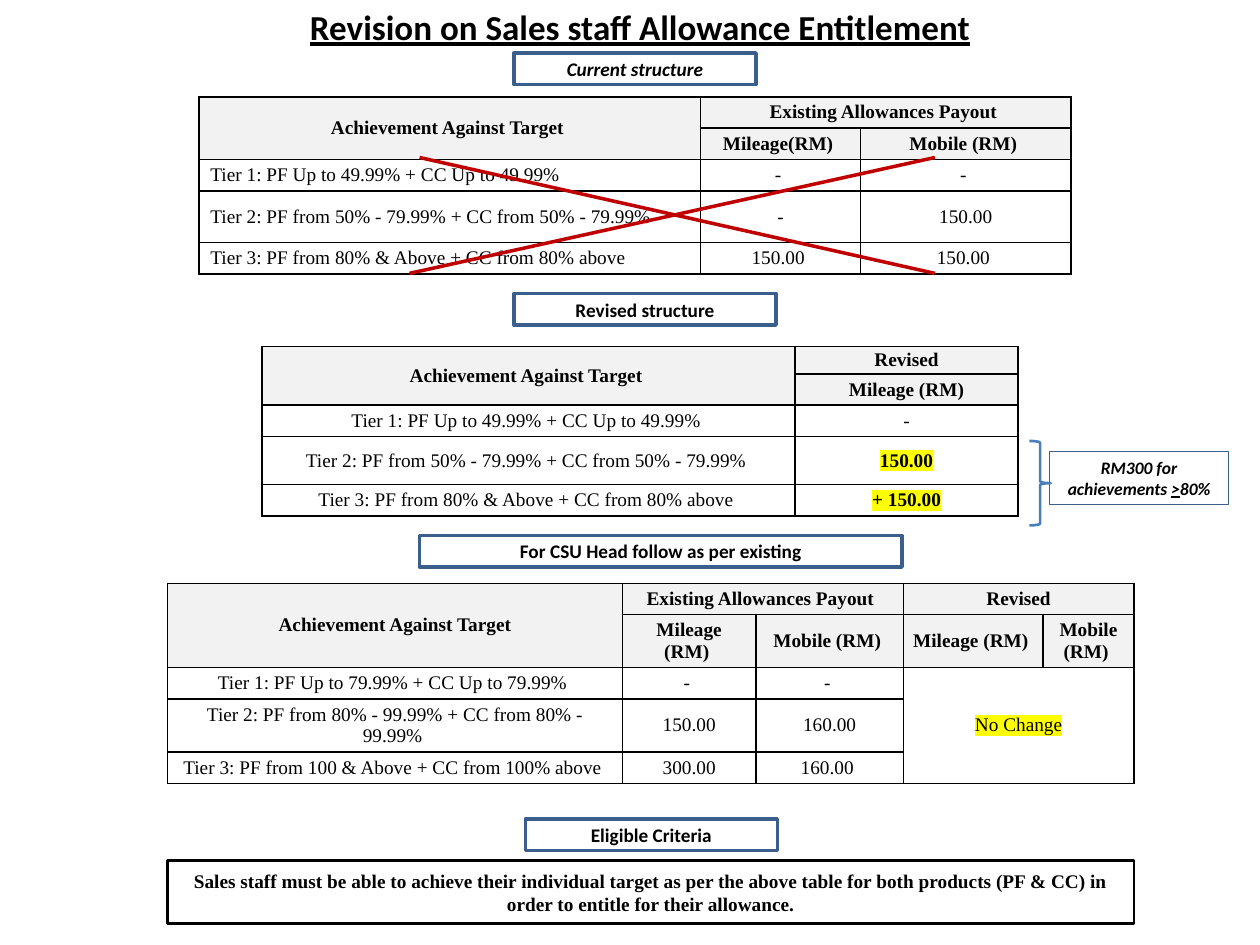
from dataclasses import dataclass, field
from typing import NamedTuple

from lxml.etree import SubElement
from pptx import Presentation
from pptx.dml.color import RGBColor
from pptx.enum.shapes import MSO_CONNECTOR, MSO_SHAPE
from pptx.enum.text import MSO_ANCHOR, PP_ALIGN
from pptx.oxml import parse_xml
from pptx.oxml.ns import nsdecls, qn
from pptx.util import Inches, Pt

COLORS = {
    "black": "000000",
    "white": "FFFFFF",
    "header": "F2F2F2",
    "label": "3A5F8C",
    "brace": "4B7EBC",
    "cross": "C00000",
    "highlight": "FFFF00",
}
SANS, SERIF = "Calibri", "Times New Roman"
HEADER_ROWS = 2


class Run(NamedTuple):
    text: str
    font: str = SERIF
    size: float = 11
    bold: bool = False
    italic: bool = False
    underline: bool = False
    highlighted: bool = False


class Box(NamedTuple):
    left: float
    top: float
    width: float
    height: float
    runs: list[Run]
    line: str = "label"
    line_width: float = 2


class Merge(NamedTuple):
    row: int
    column: int
    last_row: int
    last_column: int


@dataclass
class AllowanceTable:
    left: float
    top: float
    columns: list[float]
    rows: list[float]
    cells: list[list[str | Run | None]]
    merges: list[Merge] = field(default_factory=list)
    first_flush_column: int = 99  # columns from here on have no margins
    tier_alignment: PP_ALIGN = PP_ALIGN.CENTER


def label(text: str, italic: bool = False) -> list[Run]:
    return [Run(text, SANS, bold=True, italic=italic)]


def note(text: str, underline: bool = False) -> Run:
    return Run(text, SANS, 10, bold=True, italic=True, underline=underline)


TARGET = "Achievement Against Target "
EXISTING = "Existing Allowances Payout "

TABLES = [
    AllowanceTable(
        1.58, 0.77, [3.98, 1.27, 1.67], [0.23, 0.25, 0.25, 0.41, 0.25],
        [
            [TARGET, EXISTING, None],
            [None, "Mileage(RM) ", "Mobile (RM) "],
            ["Tier 1: PF Up to 49.99% + CC Up to 49.99%", "- ", "- "],
            ["Tier 2: PF from 50% - 79.99% + CC from 50% - 79.99%", "-", "150.00"],
            ["Tier 3: PF from 80% & Above + CC from 80% above", "150.00 ", "150.00 "],
        ],
        merges=[Merge(0, 0, 1, 0), Merge(0, 1, 0, 2)],
        tier_alignment=PP_ALIGN.LEFT,
    ),
    AllowanceTable(
        2.08, 2.75, [4.23, 1.77], [0.22, 0.24, 0.24, 0.38, 0.24],
        [
            [TARGET, "Revised"],
            [None, "Mileage (RM)"],
            ["Tier 1: PF Up to 49.99% + CC Up to 49.99% ", "-"],
            ["Tier 2: PF from 50% - 79.99% + CC from 50% - 79.99% ",
             Run("150.00", bold=True, highlighted=True)],
            ["Tier 3: PF from 80% & Above + CC from 80% above ",
             Run("+ 150.00", bold=True, highlighted=True)],
        ],
        merges=[Merge(0, 0, 1, 0)],
        first_flush_column=1,
    ),
    AllowanceTable(
        1.33, 4.63, [3.61, 1.06, 1.17, 1.11, 0.72], [0.2, 0.36, 0.21, 0.36, 0.21],
        [
            [TARGET.strip(), EXISTING, None, "Revised", None],
            [None] + ["Mileage (RM) ", "Mobile (RM) "] * 2,
            ["Tier 1: PF Up to 79.99% + CC Up to 79.99% ", "- ", "- ",
             Run("No Change", highlighted=True), None],
            ["Tier 2: PF from 80% - 99.99% + CC from 80% - 99.99% ",
             "150.00", "160.00", None, None],
            ["Tier 3: PF from 100 & Above + CC from 100% above ",
             "300.00", "160.00 ", None, None],
        ],
        merges=[Merge(0, 0, 1, 0), Merge(0, 1, 0, 2), Merge(0, 3, 0, 4),
                Merge(2, 3, 4, 4)],
        first_flush_column=3,
    ),
]

BOXES = [
    Box(4.08, 0.42, 1.92, 0.25, label("Current structure", italic=True)),
    Box(4.08, 2.33, 2.08, 0.25, label("Revised structure")),
    Box(3.33, 4.25, 3.83, 0.25, label("For CSU Head follow as per existing")),
    Box(4.17, 6.5, 2, 0.25, label("Eligible Criteria")),
    Box(8.33, 3.58, 1.42, 0.42,
        [note("RM300 for achievements "), note(">", underline=True), note("80%")],
        line_width=0.5),
    Box(1.33, 6.83, 7.67, 0.5,
        [Run("Sales staff must be able to achieve their individual target as per "
             "the above table for both products (PF & CC) in order to entitle for "
             "their allowance.", bold=True)],
        line="black", line_width=1.5),
]


def color(name: str) -> RGBColor:
    return RGBColor.from_string(COLORS[name])


def write(text_frame, runs: list[Run], alignment=PP_ALIGN.CENTER) -> None:
    paragraph = text_frame.paragraphs[0]
    paragraph.alignment = alignment
    for item in runs:
        run = paragraph.add_run()
        run.text = item.text
        font = run.font
        font.size, font.bold, font.italic = Pt(item.size), item.bold, item.italic
        font.underline = item.underline
        font.color.rgb = color("black")
        if item.highlighted:
            highlight = SubElement(run._r.get_or_add_rPr(), qn("a:highlight"))
            SubElement(highlight, qn("a:srgbClr"), val=COLORS["highlight"])
        font.name = item.font


def draw_borders(cell) -> None:
    properties = cell._tc.get_or_add_tcPr()
    for side in "LRTB":
        properties.append(parse_xml(
            f'<a:ln{side} {nsdecls("a")} w="{Pt(1)}"><a:solidFill>'
            f'<a:srgbClr val="{COLORS["black"]}"/></a:solidFill></a:ln{side}>'))


def draw_table(slide, spec_table: AllowanceTable) -> None:
    columns, rows = spec_table.columns, spec_table.rows
    table = slide.shapes.add_table(
        len(rows), len(columns), Inches(spec_table.left), Inches(spec_table.top),
        Inches(sum(columns)), Inches(sum(rows))).table
    table.first_row = table.horz_banding = False
    for column, width in zip(table.columns, columns):
        column.width = Inches(width)
    for row, height in zip(table.rows, rows):
        row.height = Inches(height)
    for merge in spec_table.merges:
        table.cell(merge.row, merge.column).merge(
            table.cell(merge.last_row, merge.last_column))

    for r, contents in enumerate(spec_table.cells):
        is_header = r < HEADER_ROWS
        for c, content in enumerate(contents):
            cell = table.cell(r, c)
            draw_borders(cell)
            if is_header:
                cell.fill.solid()
                cell.fill.fore_color.rgb = color("header")
            else:
                cell.fill.background()
            flush = c >= spec_table.first_flush_column
            cell.margin_left = cell.margin_right = Inches(0 if flush else 0.09)
            cell.margin_top = cell.margin_bottom = Inches(0 if flush else 0.04)
            cell.vertical_anchor = MSO_ANCHOR.MIDDLE
            if content is None:
                continue
            run = content if isinstance(content, Run) else Run(content, bold=is_header)
            is_tier = c == 0 and not is_header
            write(cell.text_frame, [run],
                  spec_table.tier_alignment if is_tier else PP_ALIGN.CENTER)
            if r == 0:
                cell.text_frame.paragraphs[0].line_spacing = Pt(12)


def draw_box(slide, box: Box) -> None:
    shape = slide.shapes.add_shape(MSO_SHAPE.RECTANGLE, *map(Inches, box[:4]))
    shape.shadow.inherit = False
    shape.fill.solid()
    shape.fill.fore_color.rgb = color("white")
    shape.line.color.rgb = color(box.line)
    shape.line.width = Pt(box.line_width)
    shape.text_frame.word_wrap = True
    shape.text_frame.vertical_anchor = MSO_ANCHOR.MIDDLE
    write(shape.text_frame, box.runs)


def draw_brace(slide) -> None:
    brace = slide.shapes.add_shape(
        MSO_SHAPE.RIGHT_BRACE, Inches(8.17), Inches(3.5), Inches(0.17), Inches(0.67))
    brace.shadow.inherit = False
    brace.fill.background()
    brace.line.color.rgb = color("brace")
    brace.line.width = Pt(1.5)


def draw_cross_line(slide, start_x: float, end_x: float) -> None:
    line = slide.shapes.add_connector(
        MSO_CONNECTOR.STRAIGHT, Inches(start_x), Inches(1.25), Inches(end_x), Inches(2.17))
    line.line.color.rgb = color("cross")
    line.line.width = Pt(2)
    SubElement(line._element.spPr, qn("a:effectLst"))


def main() -> None:
    presentation = Presentation()
    presentation.slide_width, presentation.slide_height = Inches(10), Inches(7.5)
    slide = presentation.slides.add_slide(presentation.slide_layouts[0])
    subtitle = slide.placeholders[1]._element
    subtitle.getparent().remove(subtitle)

    title = slide.shapes.title
    title.left, title.top = Inches(1.83), Inches(-0.08)
    title.width, title.height = Inches(6.5), Inches(0.58)
    title.text_frame.vertical_anchor = MSO_ANCHOR.MIDDLE
    write(title.text_frame, [Run("Revision on Sales staff Allowance Entitlement",
                                 SANS, 20, bold=True, underline=True)])

    for table in TABLES:
        draw_table(slide, table)
    for box in BOXES:
        draw_box(slide, box)
    draw_brace(slide)
    for start_x, end_x in ((3.33, 7.42), (7.42, 3.25)):
        draw_cross_line(slide, start_x, end_x)
    presentation.save("out.pptx")


if __name__ == "__main__":
    main()
